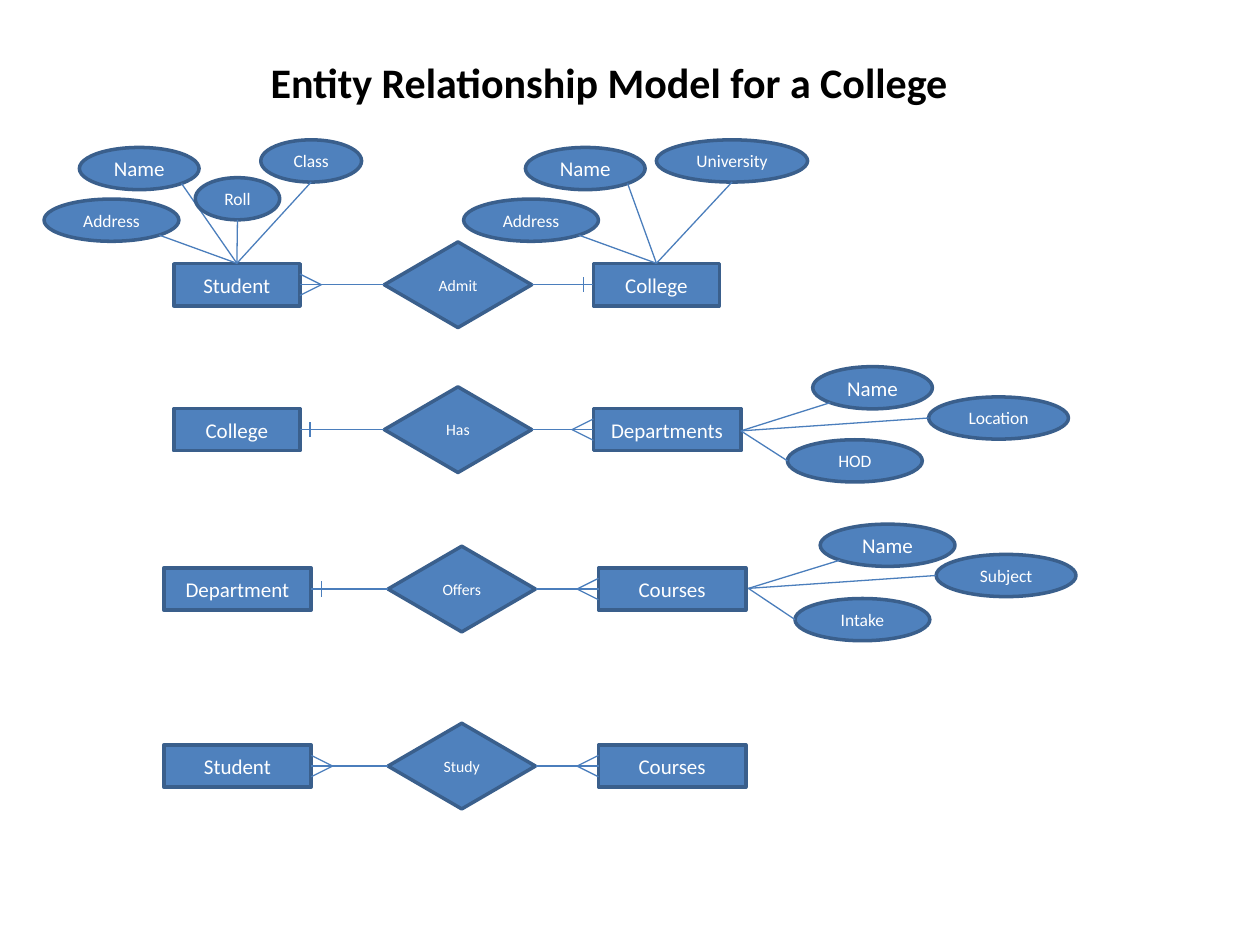
import math
from dataclasses import dataclass

import pptx
import pptx.dml.color
import pptx.enum.shapes
import pptx.enum.text
import pptx.oxml.ns
import pptx.util
from lxml import etree

SHAPE = pptx.enum.shapes.MSO_SHAPE
COLUMNS, ROWS = 100, 75
BOX_HEIGHT = 3.35
DIAMOND_WIDTH, DIAMOND_HEIGHT = 11.7, 6.8
DIAGONAL = math.sqrt(0.5)
SIDES = {
    "left": (-1, 0),
    "bottom": (0, 1),
    "bottom left": (-DIAGONAL, DIAGONAL),
    "bottom right": (DIAGONAL, DIAGONAL),
}


@dataclass(frozen=True)
class Theme:
    font: str = "Calibri"
    fill: str = "4F81BD"
    outline: str = "3A5F8C"
    link: str = "4B7EBC"
    title: str = "000000"
    label: str = "FFFFFF"
    title_size: float = 24
    entity_size: float = 12
    attribute_size: float = 10
    relation_size: float = 9
    outline_width: float = 2
    link_width: float = 0.75


THEME = Theme()

RELATIONS = [
    (22.6, 30.5, ("Student", 13.8, 10, "many"), "Admit", ("College", 47.1, 10, "one")),
    (34.1, 30.5, ("College", 13.8, 10, "one"), "Has", ("Departments", 47.1, 11.7, "many")),
    (46.75, 30.8, ("Department", 13, 11.7, "one"), "Offers", ("Courses", 47.5, 11.7, "many")),
    (60.8, 30.8, ("Student", 13, 11.7, "many"), "Study", ("Courses", 47.5, 11.7, "many")),
]

ATTRIBUTES = [
    ((18.8, 20.9), [
        ("Name", 6.3, 11.7, 9.5, "bottom right"),
        ("Address", 3.5, 15.8, 10.7, "bottom right"),
        ("Roll", 15.5, 14.1, 6.7, "bottom"),
        ("Class", 20.7, 11.1, 8, "bottom"),
    ]),
    ((52.1, 20.9), [
        ("Name", 41.7, 11.7, 9.5, "bottom right"),
        ("Address", 36.8, 15.8, 10.7, "bottom right"),
        ("University", 52.1, 11.1, 12, "bottom"),
    ]),
    ((58.8, 34.2), [
        ("Name", 64.5, 29.1, 9.5, "bottom left"),
        ("HOD", 62.5, 34.9, 10.7, "left"),
        ("Location", 73.7, 31.5, 11.1, "left"),
    ]),
    ((59.4, 46.7), [
        ("Name", 65.1, 41.6, 10.7, "bottom left"),
        ("Intake", 63.1, 47.5, 10.7, "left"),
        ("Subject", 74.3, 44, 11.1, "left"),
    ]),
]


def column(share):
    return pptx.util.Inches(10 * share / COLUMNS)


def row(share):
    return pptx.util.Inches(7.5 * share / ROWS)


def rgb(value):
    return pptx.dml.color.RGBColor.from_string(value)


def write(holder, text, size, color, bold=False):
    frame = holder.text_frame
    frame.text = text
    frame.word_wrap = False
    frame.margin_left = frame.margin_right = frame.margin_top = frame.margin_bottom = 0
    frame.vertical_anchor = pptx.enum.text.MSO_ANCHOR.MIDDLE
    paragraph = frame.paragraphs[0]
    paragraph.alignment = pptx.enum.text.PP_ALIGN.CENTER
    font = paragraph.runs[0].font
    font.name, font.size, font.bold = THEME.font, pptx.util.Pt(size), bold
    font.color.rgb = rgb(color)


def add_title(slide, text):
    title = slide.shapes.add_textbox(column(5), row(3), column(86.7), row(7))
    write(title, text, THEME.title_size, THEME.title, bold=True)


def add_node(slide, preset, text, left, top, width, height, size):
    node = slide.shapes.add_shape(preset, column(left), row(top), column(width), row(height))
    node.shadow.inherit = False
    node.fill.solid()
    node.fill.fore_color.rgb = rgb(THEME.fill)
    node.line.color.rgb = rgb(THEME.outline)
    node.line.width = pptx.util.Pt(THEME.outline_width)
    write(node, text, size, THEME.label)


def add_link(slide, start, end):
    link = slide.shapes.add_connector(
        pptx.enum.shapes.MSO_CONNECTOR.STRAIGHT,
        column(start[0]), row(start[1]), column(end[0]), row(end[1]))
    link.line.color.rgb = rgb(THEME.link)
    link.line.width = pptx.util.Pt(THEME.link_width)
    etree.SubElement(link._element.spPr, pptx.oxml.ns.qn("a:effectLst"))


def add_cardinality(slide, kind, edge, middle, direction):
    if kind == "one":
        bar = edge + 0.8 * direction
        add_link(slide, (bar, middle - 0.6), (bar, middle + 0.6))
    else:
        for spread in (-0.85, 0.85):
            add_link(slide, (edge, middle + spread), (edge + 1.7 * direction, middle))


def add_relation(slide, middle, diamond_left, source, relation, target):
    for name, left, width, _ in (source, target):
        add_node(slide, SHAPE.RECTANGLE, name, left, middle - BOX_HEIGHT / 2,
                 width, BOX_HEIGHT, THEME.entity_size)
    add_node(slide, SHAPE.DIAMOND, relation, diamond_left, middle - DIAMOND_HEIGHT / 2,
             DIAMOND_WIDTH, DIAMOND_HEIGHT, THEME.relation_size)
    source_edge = source[1] + source[2]
    target_edge = target[1]
    add_link(slide, (source_edge, middle), (diamond_left, middle))
    add_link(slide, (diamond_left + DIAMOND_WIDTH, middle), (target_edge, middle))
    add_cardinality(slide, source[3], source_edge, middle, 1)
    add_cardinality(slide, target[3], target_edge, middle, -1)


def add_attribute(slide, entity_point, name, left, top, width, side):
    size = THEME.entity_size if name == "Name" else THEME.attribute_size
    add_node(slide, SHAPE.OVAL, name, left, top, width, BOX_HEIGHT, size)
    across, down = SIDES[side]
    edge_point = (left + width / 2 * (1 + across), top + BOX_HEIGHT / 2 * (1 + down))
    add_link(slide, edge_point, entity_point)


def main():
    deck = pptx.Presentation()
    deck.slide_width, deck.slide_height = column(COLUMNS), row(ROWS)
    slide = deck.slides.add_slide(deck.slide_layouts[6])
    add_title(slide, "Entity Relationship Model for a College")
    for relation in RELATIONS:
        add_relation(slide, *relation)
    for entity_point, attributes in ATTRIBUTES:
        for attribute in attributes:
            add_attribute(slide, entity_point, *attribute)
    deck.save("out.pptx")


if __name__ == "__main__":
    main()
